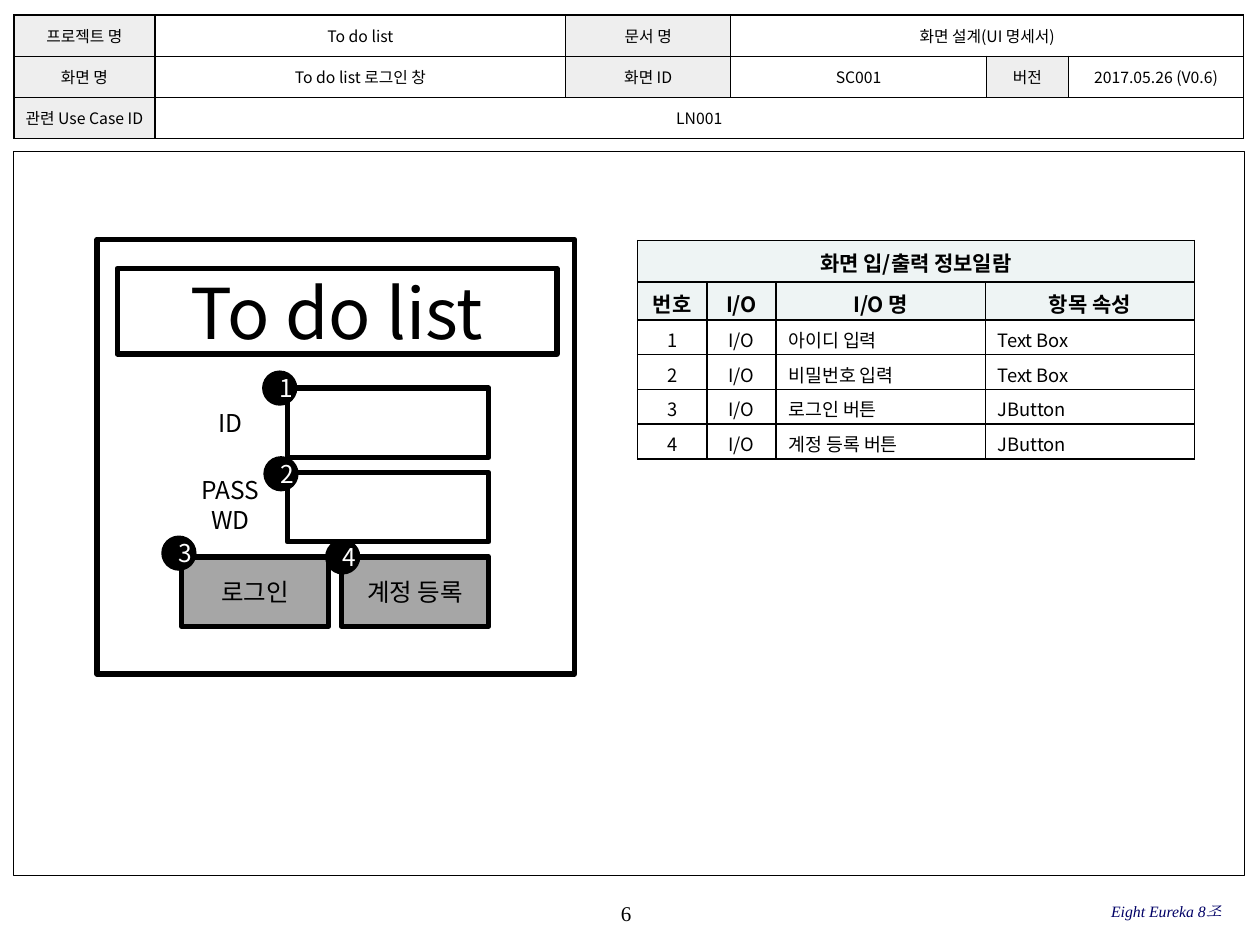
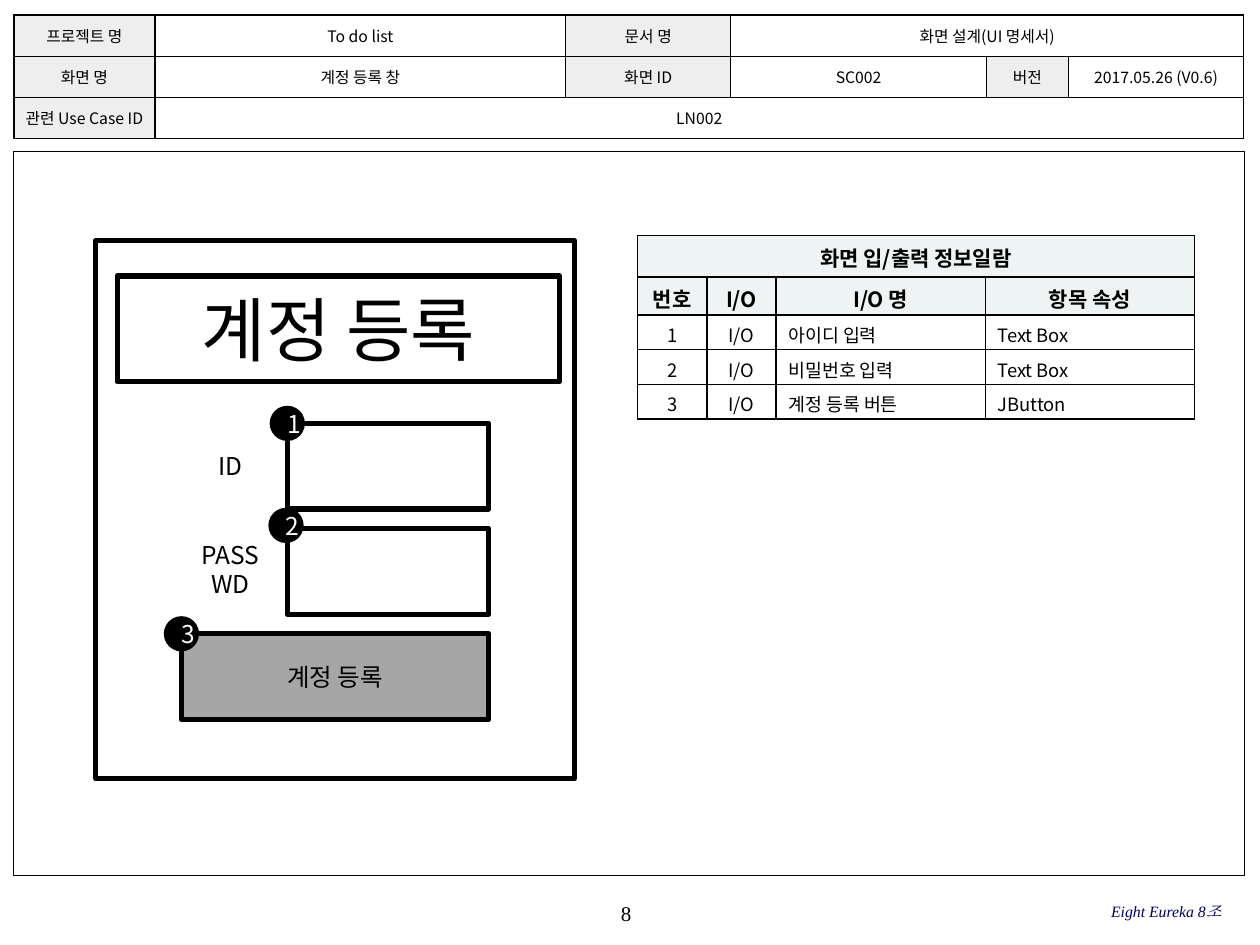
from dataclasses import dataclass

from lxml import etree
from pptx import Presentation
from pptx.dml.color import RGBColor
from pptx.enum.shapes import MSO_SHAPE
from pptx.enum.text import MSO_ANCHOR, PP_ALIGN
from pptx.oxml.ns import qn
from pptx.util import Inches, Length, Pt

RECTANGLE, OVAL = MSO_SHAPE.RECTANGLE, MSO_SHAPE.OVAL
LEFT, CENTER, RIGHT = PP_ALIGN.LEFT, PP_ALIGN.CENTER, PP_ALIGN.RIGHT
MIDDLE = MSO_ANCHOR.MIDDLE

COLORS = {
    "ink": "000000",
    "paper": "FFFFFF",
    "label": "EEEEEE",
    "heading": "EEF4F4",
    "button": "A6A6A6",
    "footer": "000066",
}
SANS, SERIF = "Noto Sans CJK KR", "Times New Roman"

# The slide is a grid of 100 columns by 75 square rows
COLUMNS, ROWS = 100, 75
UNIT = Inches(10) / COLUMNS

HEADER_COLUMNS = (11.2, 32.6, 13.1, 20.3, 6.5, 13.9)
HEADER_HEIGHT = 9.8
INFO_COLUMNS = (5.5, 5.5, 16.6, 16.6)
INFO_TITLE_ROW, INFO_HEADING_ROW, INFO_ITEM_ROW = 3.3, 2.6, 2.1

# Columns of the screen mock-up
FORM_LEFT, FIELD_LEFT, FORM_RIGHT = 14.4, 22.8, 38.8
LABEL_WIDTH, BUTTON_GAP, BADGE_SIZE = 7.8, 1, 2.8


@dataclass(frozen=True)
class Area:
    left: float
    top: float
    width: float
    height: float


@dataclass(frozen=True)
class TextStyle:
    size: float
    color: str = "ink"
    font: str = SANS
    align: PP_ALIGN = CENTER
    bold: bool = False
    italic: bool = False


@dataclass(frozen=True)
class Screen:
    page_number: str
    name: str
    screen_id: str
    use_case: str
    info_top: float
    items: tuple[tuple[str, str], ...]
    window: Area
    banner: Area
    banner_text: str
    field_top: float
    field_height: float
    field_pitch: float
    buttons: tuple[str, ...]
    badges: tuple[tuple[float, float], ...]


HEADER_TEXT = TextStyle(9)
INFO_HEADING = TextStyle(12, bold=True)
INFO_CENTERED, INFO_LEFT = TextStyle(10.5), TextStyle(10.5, align=LEFT)
BANNER_TEXT, FORM_TEXT = TextStyle(40), TextStyle(14)
BADGE_TEXT = TextStyle(14, "paper")
PAGE_TEXT = TextStyle(12, font=SERIF)
TEAM_TEXT = TextStyle(9, "footer", SERIF, RIGHT, italic=True)

SCREENS = (
    Screen(
        "6", "To do list 로그인 창", "SC001", "LN001", 19.1,
        (("아이디 입력", "Text Box"), ("비밀번호 입력", "Text Box"),
         ("로그인 버튼", "JButton"), ("계정 등록 버튼", "JButton")),
        Area(7.7, 19, 37.9, 34.5), Area(9.3, 21.3, 34.9, 6.8), "To do list",
        30.8, 5.5, 6.7, ("로그인", "계정 등록"),
        ((20.8, 29.4), (20.9, 36.2), (12.8, 42.5), (25.8, 42.8)),
    ),
    Screen(
        "8", "계정 등록 창", "SC002", "LN002", 18.7,
        (("아이디 입력", "Text Box"), ("비밀번호 입력", "Text Box"),
         ("계정 등록 버튼", "JButton")),
        Area(7.6, 19.1, 38, 42.7), Area(9.3, 21.9, 35.1, 8.4), "계정 등록",
        33.6, 6.8, 8.35, ("계정 등록",),
        ((21.4, 32.2), (21.3, 40.3), (13, 48.9)),
    ),
)


def grid(units: float) -> Length:
    return Length(round(units * UNIT))


def place(area: Area) -> tuple[Length, ...]:
    return tuple(grid(side) for side in (area.left, area.top, area.width, area.height))


def rgb(name: str) -> RGBColor:
    return RGBColor.from_string(COLORS[name])


def write(frame, text: str, style: TextStyle) -> None:
    frame.text = text
    for para in frame.paragraphs:
        para.alignment = style.align
        for span in para.runs:
            font = span.font
            font.name, font.size = style.font, Pt(style.size)
            font.bold, font.italic = style.bold, style.italic
            font.color.rgb = rgb(style.color)
            east_asian = etree.Element(qn("a:ea"), typeface=style.font)
            font._rPr.find(qn("a:latin")).addnext(east_asian)


def add_box(shapes, area: Area, fill: str = "", line: float = 0, text: str = "",
            style: TextStyle = FORM_TEXT, kind: MSO_SHAPE = RECTANGLE) -> None:
    box = shapes.add_shape(kind, *place(area))
    box.shadow.inherit = False
    if fill:
        box.fill.solid()
        box.fill.fore_color.rgb = rgb(fill)
    else:
        box.fill.background()
    if line:
        box.line.color.rgb = rgb("ink")
        box.line.width = Pt(line)
    else:
        box.line.fill.background()
    if text:
        box.text_frame.word_wrap = True
        box.text_frame.vertical_anchor = MIDDLE
        write(box.text_frame, text, style)


def add_text(shapes, area: Area, text: str, style: TextStyle, inset: bool = True) -> None:
    frame = shapes.add_textbox(*place(area)).text_frame
    frame.word_wrap = True
    frame.vertical_anchor = MIDDLE
    if not inset:
        frame.margin_left = frame.margin_right = 0
        frame.margin_top = frame.margin_bottom = 0
    write(frame, text, style)


def add_borders(cell) -> None:
    properties = cell._tc.get_or_add_tcPr()
    for index, side in enumerate(("lnL", "lnR", "lnT", "lnB")):
        border = etree.Element(qn(f"a:{side}"), w=str(Pt(1)))
        fill = etree.SubElement(border, qn("a:solidFill"))
        etree.SubElement(fill, qn("a:srgbClr"), val=COLORS["ink"])
        properties.insert(index, border)


def add_grid_table(page, left: float, top: float, widths: tuple[float, ...],
                   heights: tuple[float, ...]):
    area = Area(left, top, sum(widths), sum(heights))
    table = page.shapes.add_table(len(heights), len(widths), *place(area)).table
    table.first_row = table.horz_banding = False
    for column, width in zip(table.columns, widths):
        column.width = grid(width)
    for row, height in zip(table.rows, heights):
        row.height = grid(height)
    for cell in table.iter_cells():
        cell.fill.background()
        cell.vertical_anchor = MIDDLE
        add_borders(cell)
    return table


def fill_cell(cell, text: str, style: TextStyle, fill: str = "") -> None:
    write(cell.text_frame, text, style)
    if fill:
        cell.fill.solid()
        cell.fill.fore_color.rgb = rgb(fill)


def add_header(page, screen: Screen) -> None:
    rows = (
        ("프로젝트 명", "To do list", "문서 명", "화면 설계(UI 명세서)"),
        ("화면 명", screen.name, "화면 ID", screen.screen_id, "버전", "2017.05.26 (V0.6)"),
        ("관련 Use Case ID", screen.use_case),
    )
    heights = (HEADER_HEIGHT / len(rows),) * len(rows)
    table = add_grid_table(page, 1.1, 1.2, HEADER_COLUMNS, heights)
    last = len(HEADER_COLUMNS) - 1
    for cell in table.iter_cells():
        cell.margin_left = cell.margin_right = grid(0.4)
        cell.margin_top = cell.margin_bottom = grid(0.2)
    for row, texts in enumerate(rows):
        if len(texts) <= last:
            table.cell(row, len(texts) - 1).merge(table.cell(row, last))
        for column, text in enumerate(texts):
            fill = "label" if column % 2 == 0 else ""
            fill_cell(table.cell(row, column), text, HEADER_TEXT, fill)


def add_info_table(page, screen: Screen) -> None:
    heights = (INFO_TITLE_ROW, INFO_HEADING_ROW) + (INFO_ITEM_ROW,) * len(screen.items)
    table = add_grid_table(page, 50.6, screen.info_top, INFO_COLUMNS, heights)
    table.cell(0, 0).merge(table.cell(0, len(INFO_COLUMNS) - 1))
    fill_cell(table.cell(0, 0), "화면 입/출력 정보일람", INFO_HEADING, "heading")
    for column, text in enumerate(("번호", "I/O", "I/O 명", "항목 속성")):
        fill_cell(table.cell(1, column), text, INFO_HEADING, "heading")
    for number, (name, control) in enumerate(screen.items, 1):
        for column, text in enumerate((str(number), "I/O", name, control)):
            style = INFO_CENTERED if column < 2 else INFO_LEFT
            fill_cell(table.cell(number + 1, column), text, style, "paper")


def add_mockup(page, screen: Screen) -> None:
    shapes = page.shapes.add_group_shape().shapes
    add_box(shapes, screen.window, line=3)
    add_box(shapes, screen.banner, "paper", 3, screen.banner_text, BANNER_TEXT)

    # Input fields with their labels
    labels = ("ID", "PASSWD")
    height = screen.field_height
    for index, label in enumerate(labels):
        top = screen.field_top + index * screen.field_pitch
        add_box(shapes, Area(FIELD_LEFT, top, FORM_RIGHT - FIELD_LEFT, height), line=3)
        label_area = Area(FORM_LEFT, top - 0.2 * index, LABEL_WIDTH, height)
        add_text(shapes, label_area, label, FORM_TEXT)

    # Buttons share the width of the form
    count = len(screen.buttons)
    width = (FORM_RIGHT - FORM_LEFT - BUTTON_GAP * (count - 1)) / count
    top = screen.field_top + len(labels) * screen.field_pitch
    for index, text in enumerate(screen.buttons):
        left = FORM_LEFT + index * (width + BUTTON_GAP)
        add_box(shapes, Area(left, top, width, height), "button", 3, text)

    # Numbered badges refer to the rows of the information table
    for number, (left, top) in enumerate(screen.badges, 1):
        area = Area(left, top, BADGE_SIZE, BADGE_SIZE)
        add_box(page.shapes, area, "ink", 0, str(number), BADGE_TEXT, OVAL)


def add_page_frame(page, page_number: str) -> None:
    add_text(page.shapes, Area(39.3, 70.8, 20.8, 3.3), page_number, PAGE_TEXT, inset=False)
    add_box(page.shapes, Area(1.1, 12, 97.7, 57.5), line=0.75)
    add_text(page.shapes, Area(66.3, 70.7, 30.6, 3.3), "Eight Eureka 8조", TEAM_TEXT, inset=False)


def main() -> None:
    deck = Presentation()
    deck.slide_width, deck.slide_height = grid(COLUMNS), grid(ROWS)
    for screen in SCREENS:
        page = deck.slides.add_slide(deck.slide_layouts[6])
        add_page_frame(page, screen.page_number)
        add_header(page, screen)
        add_info_table(page, screen)
        add_mockup(page, screen)
    deck.save("out.pptx")


if __name__ == "__main__":
    main()
